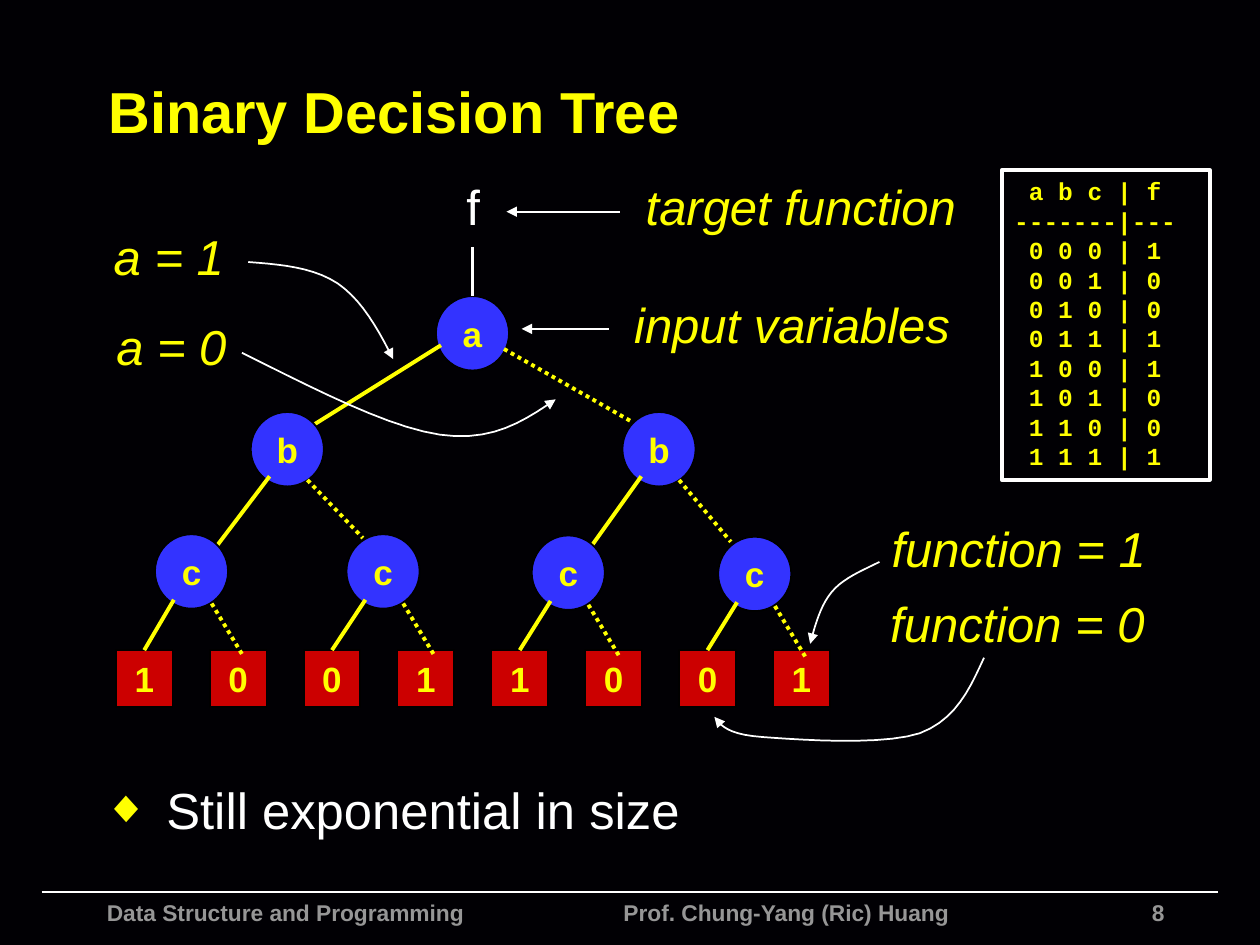
from dataclasses import dataclass

from lxml.etree import SubElement
from pptx import Presentation
from pptx.dml.color import RGBColor
from pptx.enum.dml import MSO_LINE
from pptx.enum.shapes import MSO_CONNECTOR, MSO_SHAPE
from pptx.enum.text import MSO_ANCHOR, MSO_AUTO_SIZE, PP_ALIGN
from pptx.oxml.ns import qn
from pptx.util import Inches, Pt


@dataclass
class Theme:
    back: str = "010004"
    white: str = "FFFFFF"
    yellow: str = "FFFF00"
    blue: str = "3333FF"
    red: str = "CC0000"
    black: str = "000000"
    gray: str = "969696"
    sans: str = "Arial"
    mono: str = "Courier New"
    title: float = 33
    body: float = 29
    label: float = 28
    node: float = 20
    code: float = 14
    foot: float = 13
    thick: float = 2.25
    thin: float = 1


def rgb(color):
    return RGBColor.from_string(color)


class Board:
    """Holds the theme and the slide being drawn."""

    def __init__(self, slide, theme):
        self.slide, self.theme = slide, theme
        self.shapes = slide.shapes
        slide.background.fill.solid()
        slide.background.fill.fore_color.rgb = rgb(theme.back)

    def letter(self, shape, text, size, color, bold=False, italic=False, face=None,
               align=PP_ALIGN.LEFT, anchor=MSO_ANCHOR.TOP, wrap=True, side=0.05):
        frame = shape.text_frame
        frame.text = text
        frame.word_wrap, frame.vertical_anchor = wrap, anchor
        frame.auto_size = MSO_AUTO_SIZE.NONE
        frame.margin_left = frame.margin_right = Inches(side)
        frame.margin_top = frame.margin_bottom = Inches(0.05)
        for line in frame.paragraphs:
            line.alignment = align
            for run in line.runs:
                font = run.font
                font.name, font.size = face or self.theme.sans, Pt(size)
                font.bold, font.italic = bold, italic
                font.color.rgb = rgb(color)
        return frame

    def holder(self, shape, box, text, size, color, **style):
        shape.left, shape.top, shape.width, shape.height = map(Inches, box)
        return self.letter(shape, text, size, color, side=0.1, **style)

    def text(self, box, text, size, color, **style):
        shape = self.shapes.add_textbox(*map(Inches, box))
        return self.letter(shape, text, size, color, **style)

    def label(self, left, top, width, text, color=None, italic=True):
        self.text((left, top, width, 0.57), text, self.theme.label,
                  color or self.theme.yellow, italic=italic,
                  align=PP_ALIGN.CENTER, wrap=False)

    def block(self, kind, box, fill, edge, weight):
        shape = self.shapes.add_shape(kind, *map(Inches, box))
        shape.shadow.inherit = False
        if fill:
            shape.fill.solid()
            shape.fill.fore_color.rgb = rgb(fill)
        else:
            shape.fill.background()
        self.stroke(shape, edge, weight)
        return shape

    def node(self, kind, box, fill, text):
        shape = self.block(kind, box, fill, self.theme.black, self.theme.thin)
        self.letter(shape, text, self.theme.node, self.theme.yellow, bold=True,
                    align=PP_ALIGN.CENTER, anchor=MSO_ANCHOR.MIDDLE)
        return shape

    def stroke(self, shape, color, weight, arrow=False):
        shape.line.color.rgb = rgb(color)
        shape.line.width = Pt(weight)
        if arrow:
            ln = shape.element.spPr.find(qn("a:ln"))
            SubElement(ln, qn("a:tailEnd"), type="triangle")

    def line(self, start, end, color, weight, dotted=False, arrow=False, goal=None):
        wire = self.shapes.add_connector(MSO_CONNECTOR.STRAIGHT, *map(Inches, start + end))
        wire.line.color.rgb = rgb(color)
        if dotted:
            wire.line.dash_style = MSO_LINE.ROUND_DOT
        self.stroke(wire, color, weight, arrow)
        SubElement(wire.element.spPr, qn("a:effectLst"))
        if goal is not None:
            wire.end_connect(goal, 0)

    def branch(self, start, end, dotted=False, goal=None):
        self.line(start, end, self.theme.yellow, self.theme.thick, dotted, goal=goal)

    def curve(self, start, *bends, steps=10):
        """Draw a chain of cubic curves that ends in an arrowhead."""
        points, last = [], start
        for bend in bends:
            knots = (last, *bend)
            for step in range(1, steps + 1):
                t = step / steps
                parts = ((1 - t) ** 3, 3 * t * (1 - t) ** 2, 3 * t * t * (1 - t), t ** 3)
                points.append(tuple(Inches(sum(p * k[axis] for p, k in zip(parts, knots)))
                                    for axis in (0, 1)))
            last = bend[-1]
        pen = self.shapes.build_freeform(*map(Inches, start))
        pen.add_line_segments(points, close=False)
        shape = pen.convert_to_shape()
        shape.shadow.inherit = False
        shape.fill.background()
        self.stroke(shape, self.theme.white, self.theme.thin, arrow=True)


def frame(board):
    theme = board.theme
    # Footer
    board.line((0.33, 7.08), (9.67, 7.08), theme.white, theme.thin)
    board.text((6.17, 7.08, 3.17, 0.18), "8", theme.foot, theme.gray, bold=True,
               align=PP_ALIGN.RIGHT, side=0.1)
    foot = board.text((0.75, 7.08, 7.24, 0.42),
                      "Data Structure and Programming\tProf. Chung-Yang (Ric) Huang",
                      theme.foot, theme.gray, bold=True, side=0.1)
    tabs = SubElement(foot.paragraphs[0]._p.get_or_add_pPr(), qn("a:tabLst"))
    SubElement(tabs, qn("a:tab"), pos=str(Inches(4.1)), algn="l")

    # Title and bullet
    board.holder(board.shapes.title, (0.76, 0.37, 8.84, 1.01), "Binary Decision Tree",
                 theme.title, theme.yellow, bold=True, anchor=MSO_ANCHOR.MIDDLE)
    body = board.holder(board.slide.placeholders[1], (0.72, 6.13, 8.5, 0.88),
                        "Still exponential in size", theme.body, theme.white)
    point = body.paragraphs[0]
    point.space_before = Pt(0)
    props = point._p.get_or_add_pPr()
    props.set("marL", str(Inches(0.5)))
    props.set("indent", str(Inches(-0.5)))
    SubElement(SubElement(props, qn("a:buClr")), qn("a:srgbClr"), val=theme.yellow)
    SubElement(props, qn("a:buSzPct"), val="90000")
    SubElement(props, qn("a:buChar"), char="◆")


def tree(board):
    theme = board.theme

    def ball(left, top, name):
        return board.node(MSO_SHAPE.OVAL, (left, top, 0.58, 0.59), theme.blue, name)

    # Root
    root = ball(3.46, 2.35, "a")
    board.label(3.65, 1.35, 0.21, "f", theme.white, italic=False)
    board.line((3.75, 1.96), (3.75, 2.35), theme.white, theme.thick, goal=root)
    board.branch((3.5, 2.74), (2.46, 3.39))
    board.branch((4, 2.77), (5.02, 3.35), dotted=True)

    # Middle level
    for left, high, low in ((1.99, (1.7, 4.36), (2.88, 4.27)),
                            (4.94, (4.69, 4.34), (5.8, 4.3))):
        ball(left, 3.27, "b")
        board.branch((left + 0.15, 3.78), high)
        board.branch((left + 0.45, 3.81), low, dotted=True)

    # Leaves, evenly spaced
    leaves = [board.node(MSO_SHAPE.RECTANGLE, (0.92 + 0.745 * i, 5.16, 0.45, 0.45),
                         theme.red, value) for i, value in enumerate("10011001")]

    # Lowest level, each above a pair of leaves
    spots = ((1.23, 4.24), (2.75, 4.24), (4.22, 4.25), (5.7, 4.26))
    for (left, top), leaf in zip(spots, leaves[::2]):
        ball(left, top, "c")
        board.branch((left + 0.15, top + 0.52), (left - 0.09, 5.16), goal=leaf)
        board.branch((left + 0.45, top + 0.55), (left + 0.69, top + 0.95), dotted=True)


def notes(board):
    theme = board.theme
    # Straight callouts
    for left, top, width, text, start, end, y in (
            (5.07, 1.35, 2.57, "target function", 4.92, 4.02, 1.68),
            (4.98, 2.29, 2.61, "input variables", 4.83, 4.14, 2.61)):
        board.label(left, top, width, text)
        board.line((start, y), (end, y), theme.white, theme.thin, arrow=True)

    # Curved callouts
    board.label(0.85, 1.75, 0.98, "a = 1")
    board.curve((1.97, 2.08), ((2.23, 2.1), (2.48, 2.12), (2.68, 2.25)),
                ((2.87, 2.38), (3, 2.61), (3.12, 2.85)))
    board.label(0.87, 2.46, 0.98, "a = 0")
    board.curve((1.92, 2.8), ((2.5, 3.09), (3.08, 3.39), (3.49, 3.45)),
                ((3.91, 3.51), (4.16, 3.34), (4.41, 3.17)))
    board.label(7.02, 4.07, 2.13, "function = 1")
    board.curve((6.98, 4.46), ((6.84, 4.53), (6.69, 4.59), (6.6, 4.7)),
                ((6.51, 4.81), (6.47, 4.96), (6.43, 5.11)))
    board.label(7.01, 4.66, 2.13, "function = 0")
    board.curve((7.81, 5.22), ((7.7, 5.46), (7.59, 5.71), (7.3, 5.82)),
                ((7, 5.92), (6.32, 5.87), (6.05, 5.85)),
                ((5.78, 5.83), (5.72, 5.76), (5.67, 5.69)))

    # Truth table, f = 1 when b equals c
    rows = [" a b c | f", "-------|---"]
    rows += [f" {a} {b} {c} | {int(b == c)}" for a in (0, 1) for b in (0, 1) for c in (0, 1)]
    panel = board.block(MSO_SHAPE.RECTANGLE, (7.95, 1.35, 1.65, 2.46), None,
                        theme.white, theme.thick)
    table = board.letter(panel, "\n".join(rows), theme.code, theme.yellow, bold=True,
                         face=theme.mono, side=0.1)
    for line in table.paragraphs:
        line.line_spacing = Pt(16.8)


def main():
    deck = Presentation()
    deck.slide_width, deck.slide_height = Inches(10), Inches(7.5)
    board = Board(deck.slides.add_slide(deck.slide_layouts[1]), Theme())
    frame(board)
    tree(board)
    notes(board)
    deck.save("out.pptx")


if __name__ == "__main__":
    main()
